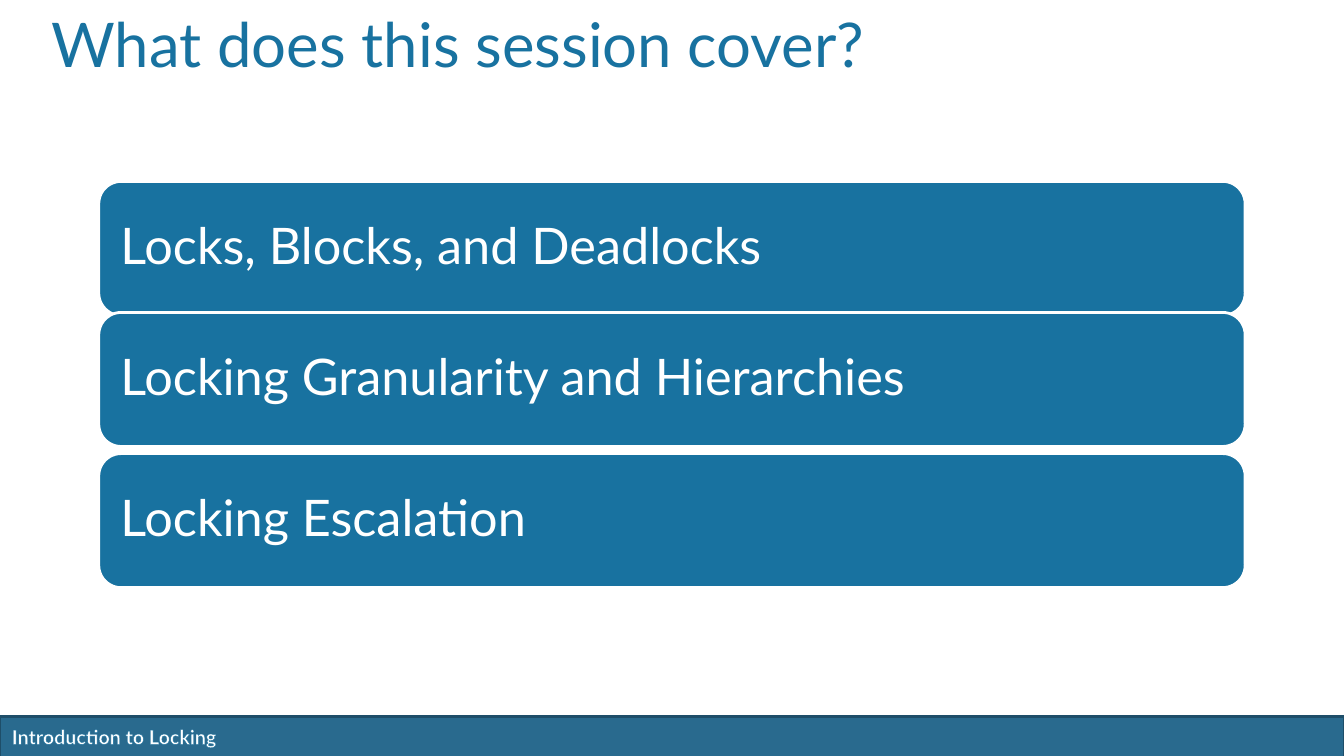
import pptx
import pptx.util
import pptx.dml.color
import pptx.enum.shapes
import pptx.enum.text
import lxml.etree
from dataclasses import dataclass
from pptx.util import Inches

TITLE = "What does this session cover?"
FOOTER = "Introduction to Locking"
TOPICS = [  # text, top
    ("Locks, Blocks, and Deadlocks", 1.8),
    ("Locking Granularity and Hierarchies", 3.1),
    ("Locking Escalation", 4.5),
]


@dataclass(frozen=True)
class Theme:
    font: str = "Lato"
    blue: str = "1872A0"
    band: str = "296A8E"
    edge: str = "1E4E69"
    white: str = "FFFFFF"
    title: int = 44
    topic: int = 36
    footer: int = 14
    line: int = 2


THEME = Theme()
SHAPE = pptx.enum.shapes.MSO_SHAPE
ANCHOR = pptx.enum.text.MSO_ANCHOR


def rgb(code):
    return pptx.dml.color.RGBColor.from_string(code)


def write(frame, text, size, color, anchor, spacing=None):
    frame.text = text
    frame.word_wrap = True
    frame.vertical_anchor = anchor
    para = frame.paragraphs[0]
    para.alignment = pptx.enum.text.PP_ALIGN.LEFT
    para.line_spacing = spacing
    para.font.name = THEME.font
    para.font.size = pptx.util.Pt(size)
    para.font.color.rgb = rgb(color)
    return para


def add_box(slide, kind, place, fill, line):
    box = slide.shapes.add_shape(kind, *map(Inches, place))
    box.shadow.inherit = False
    box.fill.solid()
    box.fill.fore_color.rgb = rgb(fill)
    box.line.color.rgb = rgb(line)
    box.line.width = pptx.util.Pt(THEME.line)
    return box


def outline(run, color, width):
    """Draw a thin line around the letters of a run."""
    ns = "{http://schemas.openxmlformats.org/drawingml/2006/main}"
    line = lxml.etree.Element(ns + "ln", w=str(pptx.util.Pt(width)))
    fill = lxml.etree.SubElement(line, ns + "solidFill")
    lxml.etree.SubElement(fill, ns + "srgbClr", val=color)
    run.font._element.insert(0, line)


def add_footer(slide):
    add_box(slide, SHAPE.RECTANGLE, (0, 7.11, 13.33, 0.4), THEME.band, THEME.edge)
    label = slide.shapes.add_textbox(*map(Inches, (0.02, 7.14, 6.06, 0.34)))
    para = write(label.text_frame, FOOTER, THEME.footer, THEME.white, ANCHOR.TOP)
    para.font.bold = True
    outline(para.runs[0], THEME.blue, 0.8)


def add_title(slide):
    title = slide.shapes.title
    title.left, title.top, title.width, title.height = map(Inches, (0.41, 0.26, 12, 1.25))
    write(title.text_frame, TITLE, THEME.title, THEME.blue, ANCHOR.TOP, pptx.util.Pt(35))
    title.text_frame.auto_size = pptx.enum.text.MSO_AUTO_SIZE.NONE


def add_topic(slide, text, top):
    box = add_box(slide, SHAPE.ROUNDED_RECTANGLE, (0.98, top, 11.37, 1.33),
                  THEME.blue, THEME.white)
    frame = box.text_frame
    frame.margin_left = frame.margin_right = Inches(0.15)
    frame.margin_top = frame.margin_bottom = Inches(0.15)
    write(frame, text, THEME.topic, THEME.white, ANCHOR.MIDDLE, 0.9)


def main():
    deck = pptx.Presentation()
    deck.slide_width, deck.slide_height = Inches(13.33), Inches(7.5)
    slide = deck.slides.add_slide(deck.slide_layouts.get_by_name("Title Only"))
    add_footer(slide)
    add_title(slide)
    for text, top in TOPICS:
        add_topic(slide, text, top)
    deck.save("out.pptx")


if __name__ == "__main__":
    main()
